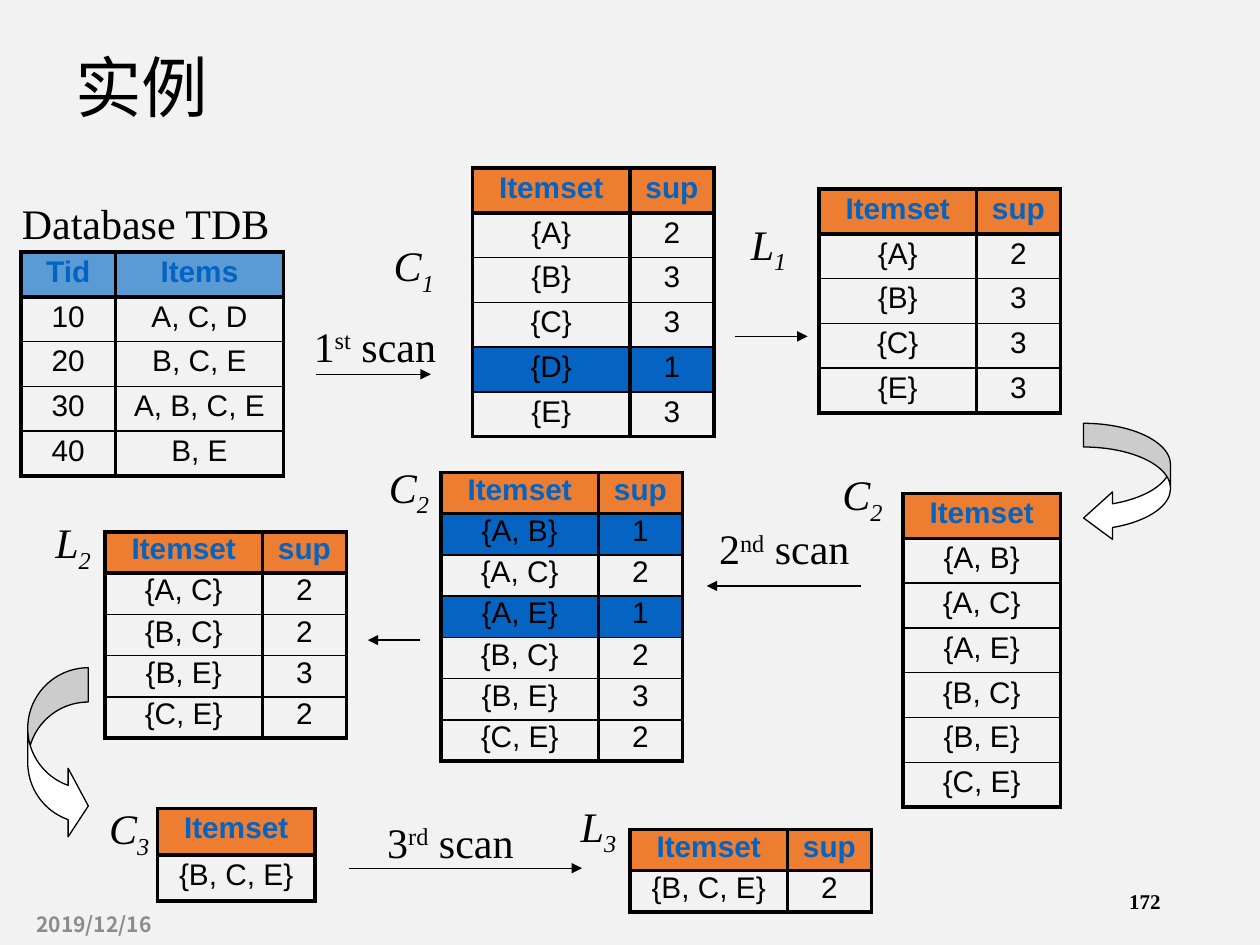
from lxml import etree
from pptx import Presentation
from pptx.dml.color import RGBColor
from pptx.enum.shapes import MSO_CONNECTOR, MSO_SHAPE
from pptx.enum.text import MSO_ANCHOR, PP_ALIGN
from pptx.oxml.ns import qn
from pptx.util import Pt

LEFT, CENTER, RIGHT = PP_ALIGN.LEFT, PP_ALIGN.CENTER, PP_ALIGN.RIGHT
MIDDLE = MSO_ANCHOR.MIDDLE
STRAIGHT = MSO_CONNECTOR.STRAIGHT
CURVED_LEFT, CURVED_RIGHT = MSO_SHAPE.CURVED_LEFT_ARROW, MSO_SHAPE.CURVED_RIGHT_ARROW

COLORS = {
    "background": "F2F2F2", "black": "000000", "white": "FFFFFF", "grey": "8C8C8C",
    "orange": "ED7D31", "light blue": "5B9BD5", "blue": "0563C1",
}
SERIF, SANS, CJK = "Times New Roman", "Arial", "Noto Sans CJK SC"
THICK, THIN = 2.25, 1
SUPERSCRIPT, SUBSCRIPT = 30000, -25000
LOOSE, TIGHT = (0.9, 25.55), (0.8, 23.5)  # line spacing, row height
ITEMSET, SUP = 90, 48  # column widths

# text, left, top, width, height, size, font, colour, bold, alignment
PLAIN_TEXTS = [
    ("实例", 36, 21.6, 648, 54.72, 38, SERIF, "black", False, LEFT),
    ("Database TDB", 5, 109.5, 156.5, 36, 24, SERIF, "black", False, CENTER),
    ("2019/12/16", 13.7, 513.4, 162, 28.8, 12, CJK, "grey", True, LEFT),
    ("172", 508.3, 500.4, 162, 28.8, 12, SERIF, "black", True, RIGHT),
]

# number, ordinal suffix, left, top, width
SCANS = [
    ("1", "st", 171.4, 179.3, 85.7),
    ("2", "nd", 402.5, 295.2, 91.4),
    ("3", "rd", 213.1, 463, 88.6),
]

# letter, index, left, top
SET_NAMES = [
    ("C", "1", 217.4, 135.4), ("L", "1", 421.2, 123.1),
    ("L", "2", 23.8, 293.8), ("C", "2", 214.6, 262.1),
    ("C", "2", 473.8, 266.4), ("C", "3", 54.7, 457.2),
    ("L", "3", 324, 455.8),
]
NAME_WIDTHS = {"C": 38.2, "L": 36}

# start x, end x, y
ARROWS = [
    (180.7, 246.2, 213.9), (491.8, 403.9, 334.8), (199.4, 332.6, 496.1),
    (419.8, 461.5, 192.2), (239.8, 210.2, 365.8),
]

# shape, left, top, width, height, adjustments
CURVED_ARROWS = [
    (CURVED_LEFT, 619.2, 241.9, 49.7, 67.7, (0.273, 0.546, 0.333)),
    (CURVED_RIGHT, 15.84, 381.6, 34.6, 98.6, (0.566, 1.132, 0.333)),
]

# left, top, column widths, (line spacing, row height), header colour, rows
TABLES = [
    (12, 144, (54, 96), LOOSE, "light blue",
     [("Tid", "Items"), ("10", "A, C, D"), ("20", "B, C, E"),
      ("30", "A, B, C, E"), ("40", "B, E")]),
    (270, 96, (ITEMSET, SUP), LOOSE, "orange",
     [("Itemset", "sup"), ("{A}", "2"), ("{B}", "3"), ("{C}", "3"),
      ("{D}", "1"), ("{E}", "3")]),
    (468, 108, (ITEMSET, SUP), LOOSE, "orange",
     [("Itemset", "sup"), ("{A}", "2"), ("{B}", "3"), ("{C}", "3"), ("{E}", "3")]),
    (516, 282, (ITEMSET,), LOOSE, "orange",
     [("Itemset",), ("{A, B}",), ("{A, C}",), ("{A, E}",), ("{B, C}",),
      ("{B, E}",), ("{C, E}",)]),
    (252, 270, (ITEMSET, SUP), TIGHT, "orange",
     [("Itemset", "sup"), ("{A, B}", "1"), ("{A, C}", "2"), ("{A, E}", "1"),
      ("{B, C}", "2"), ("{B, E}", "3"), ("{C, E}", "2")]),
    (60, 304, (ITEMSET, SUP), TIGHT, "orange",
     [("Itemset", "sup"), ("{A, C}", "2"), ("{B, C}", "2"), ("{B, E}", "3"),
      ("{C, E}", "2")]),
    (90, 462, (ITEMSET,), (0.9, 26.5), "orange", [("Itemset",), ("{B, C, E}",)]),
    (360, 474, (ITEMSET, SUP), TIGHT, "orange",
     [("Itemset", "sup"), ("{B, C, E}", "2")]),
]


def rgb(name):
    return RGBColor.from_string(COLORS[name])


def style(font, size, name, color="black", bold=False, italic=False):
    font.size, font.name, font.bold, font.italic = Pt(size), name, bold, italic
    font.color.rgb = rgb(color)


def add_text(slide, box, runs, size, font, color="black", bold=False,
             italic=False, align=CENTER, wrap=False):
    """Add one line of text; runs holds (text, baseline shift) pairs."""
    tf = slide.shapes.add_textbox(*map(Pt, box)).text_frame
    tf.word_wrap, tf.vertical_anchor = wrap, MIDDLE
    p = tf.paragraphs[0]
    p.alignment = align
    for text, baseline in runs:
        r = p.add_run()
        r.text = text
        style(r.font, size, font, color, bold, italic)
        if baseline:
            r.font._element.set("baseline", str(baseline))


def add_arrow(slide, x1, x2, y):
    line = slide.shapes.add_connector(STRAIGHT, Pt(x1), Pt(y), Pt(x2), Pt(y))
    line.line.color.rgb, line.line.width = rgb("black"), Pt(0.75)
    etree.SubElement(line.line._get_or_add_ln(), qn("a:tailEnd"), type="triangle")
    etree.SubElement(line._element.spPr, qn("a:effectLst"))


def add_curved_arrow(slide, kind, left, top, width, height, adjustments):
    sp = slide.shapes.add_shape(kind, Pt(left), Pt(top), Pt(width), Pt(height))
    for i, value in enumerate(adjustments):
        sp.adjustments[i] = value
    sp.shadow.inherit = False
    sp.fill.solid()
    sp.fill.fore_color.rgb = rgb("white")
    sp.line.color.rgb, sp.line.width = rgb("black"), Pt(0.75)


def set_borders(cell, top, bottom):
    tcPr = cell._tc.get_or_add_tcPr()
    for side, width in (("L", THICK), ("R", THICK), ("T", top), ("B", bottom)):
        ln = etree.SubElement(tcPr, qn(f"a:ln{side}"), w=str(Pt(width)))
        fill = etree.SubElement(ln, qn("a:solidFill"))
        etree.SubElement(fill, qn("a:srgbClr"), val=COLORS["black"])


def add_itemset_table(slide, left, top, widths, spacing, header_color, rows):
    line_spacing, row_height = spacing
    table = slide.shapes.add_table(
        len(rows), len(widths), Pt(left), Pt(top),
        Pt(sum(widths)), Pt(row_height * len(rows))).table
    table.first_row = table.horz_banding = False
    for column, width in zip(table.columns, widths):
        column.width = Pt(width)
    for i, row in enumerate(rows):
        header, last = i == 0, i == len(rows) - 1
        infrequent = row[-1] == "1"
        color = header_color if header else "blue" if infrequent else None
        for j, text in enumerate(row):
            cell = table.cell(i, j)
            set_borders(cell, THICK if i <= 1 else THIN,
                        THICK if header or last else THIN)
            if color:
                cell.fill.solid()
                cell.fill.fore_color.rgb = rgb(color)
            else:
                cell.fill.background()
            p = cell.text_frame.paragraphs[0]
            p.text, p.alignment, p.line_spacing = text, CENTER, line_spacing
            style(p.runs[0].font, 17, SANS, "blue" if header else "black", header)


def main():
    prs = Presentation()
    prs.slide_width, prs.slide_height = Pt(720), Pt(540)
    s = prs.slides.add_slide(prs.slide_layouts[6])
    s.background.fill.solid()
    s.background.fill.fore_color.rgb = rgb("background")

    for text, x, y, w, h, size, font, color, bold, align in PLAIN_TEXTS:
        add_text(s, (x, y, w, h), [(text, 0)], size, font, color, bold,
                 align=align, wrap=align != CENTER)
    for number, suffix, x, y, w in SCANS:
        runs = [(number, 0), (suffix, SUPERSCRIPT), (" scan", 0)]
        add_text(s, (x, y, w, 36), runs, 24, SERIF)
    for letter, index, x, y in SET_NAMES:
        add_text(s, (x, y, NAME_WIDTHS[letter], 36),
                 [(letter, 0), (index, SUBSCRIPT)], 24, SERIF, italic=True)
    for arrow in ARROWS:
        add_arrow(s, *arrow)
    for arrow in CURVED_ARROWS:
        add_curved_arrow(s, *arrow)
    for table in TABLES:
        add_itemset_table(s, *table)
    prs.save("out.pptx")


if __name__ == "__main__":
    main()
